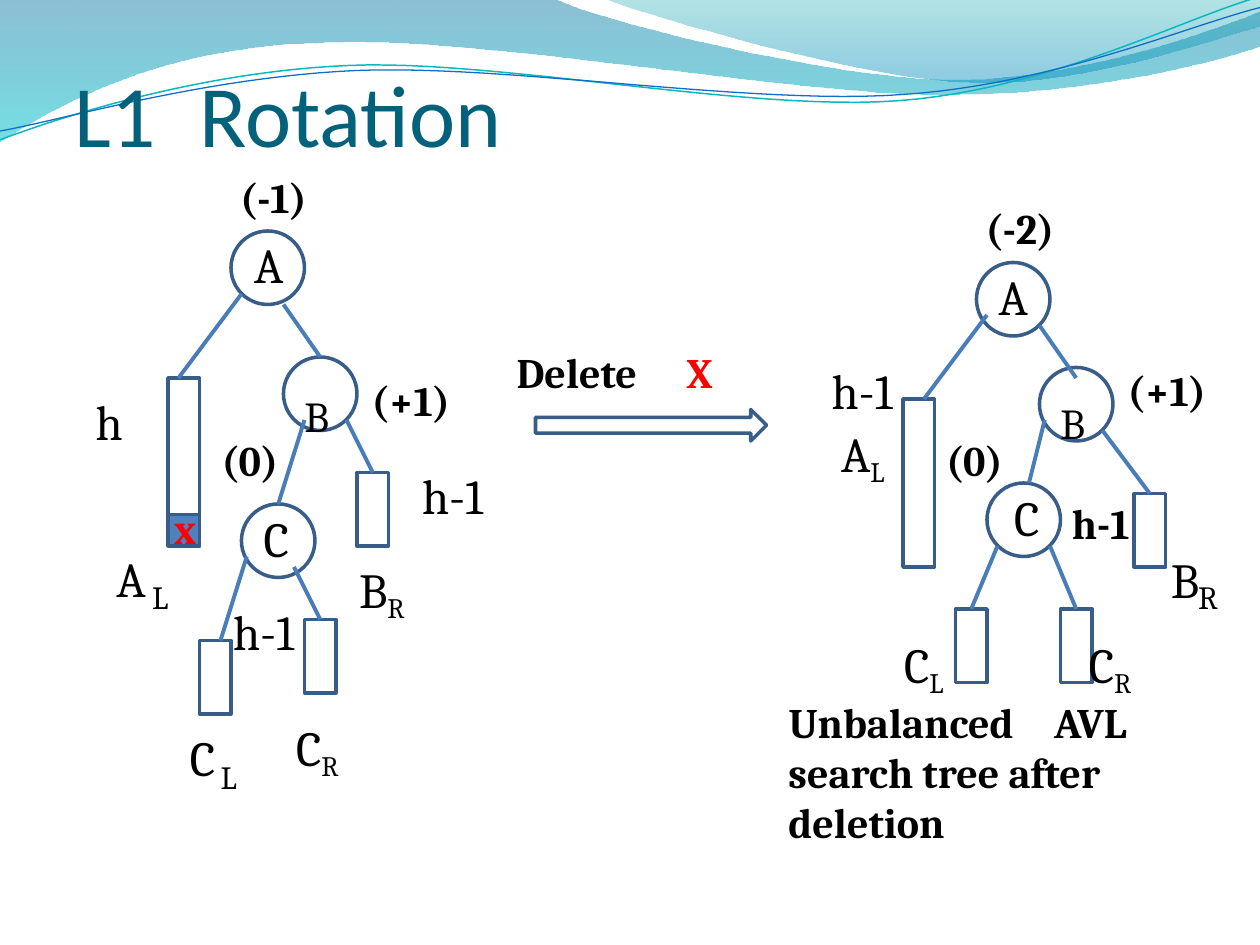
from dataclasses import dataclass

from lxml import etree
from pptx import Presentation
from pptx.dml.color import RGBColor
from pptx.enum.shapes import MSO_CONNECTOR, MSO_SHAPE
from pptx.enum.text import MSO_ANCHOR, MSO_AUTO_SIZE, PP_ALIGN
from pptx.oxml.ns import qn
from pptx.util import Emu, Inches, Pt

PX = 914400 // 120  # 120 px to the inch
TITLE_ONLY = 5
OVAL, BAR, ARROW = MSO_SHAPE.OVAL, MSO_SHAPE.RECTANGLE, MSO_SHAPE.RIGHT_ARROW
LEFT, CENTER, RIGHT = PP_ALIGN.LEFT, PP_ALIGN.CENTER, PP_ALIGN.RIGHT


@dataclass(frozen=True)
class Theme:
    title_font: str = "Calibri"
    body_font: str = "Cambria"
    ink: str = "000000"
    title: str = "04617B"
    red: str = "FF0000"
    outline: str = "385D89"
    edge: str = "497DBA"
    block: str = "4F81BC"
    outline_width: float = 2
    edge_width: float = 2.25


T = Theme()
# style: font, size, bold, colour, baseline shift in percent
STYLES = {
    "title": (T.title_font, 50, False, T.title, 0),
    "plain": (T.body_font, 28, False, T.ink, 0),
    "bold": (T.body_font, 24, True, T.ink, 0),
    "red": (T.body_font, 24, True, T.red, 0),
    "sub": (T.body_font, 27.8, False, T.ink, -21),
    "small": (T.body_font, 18.5, False, T.ink, 0),
    "low": (T.body_font, 42, False, T.ink, -21),
    "lower": (T.body_font, 42, False, T.ink, -45),
}


def para(*runs, **layout):
    """Pair (text, style) runs with their align, before, line, indent, right and tab."""
    return runs, layout


TITLE = [para(("L1\tRotation", "title"), tab=119)]

# Wave: start point, then segments of one point (line) or three points (curve), in inches
BANDS = [
    ((0, 0), [[(4.4, -0.01)],
              [(4.76, 0.17), (6.64, 0.63), (7.58, 0.63)],
              [(8.53, 0.63), (9.58, 0.26), (10, 0.09)],
              [(10.01, 0.36)],
              [(9.83, 0.44), (8.7, 0.76), (7.46, 0.75)],
              [(6.22, 0.75), (3.82, 0.28), (2.57, 0.34)],
              [(1.29, 0.36), (0.46, 0.83), (-0.01, 1.13)]],
     [("0074A1", 45), ("00C6CF", 55)]),
    ((4.79, -0.01), [[(5.09, 0.11), (6.82, 0.62), (7.69, 0.65)],
                     [(8.56, 0.69), (9.61, 0.32), (10, 0.21)],
                     [(10, 0)]],
     [("00A1A9", 30), ("008BBF", 45)]),
]
RIPPLES = [
    ((0, 1.11), [[(0.48, 0.93), (1.58, 0.57), (2.77, 0.52)],
                 [(3.95, 0.47), (5.93, 0.89), (7.13, 0.8)],
                 [(8.33, 0.71), (9.38, 0.15), (9.98, -0.02)]], ("0AB8BF", 0.85)),
    ((0, 1.04), [[(0.47, 0.96), (1.64, 0.61), (2.83, 0.56)],
                 [(4.03, 0.51), (5.97, 0.84), (7.17, 0.75)],
                 [(8.36, 0.67), (9.41, 0.21), (10, 0.06)]], ("0F6FC6", 0.75)),
]

NODE_SIZE, BAR_WIDTH, TALL, SHORT = 70, 30, 160, 70
TREES = [
    {"nodes": [(220, 220), (270, 340), (230, 480)],
     "bars": [(160, 360, TALL), (340, 450, SHORT), (190, 610, SHORT), (290, 590, SHORT)],
     "edges": [(230, 280, 170, 360), (270, 290, 305, 340), (290, 400, 265, 480),
               (330, 400, 355, 450), (235, 530, 210, 610), (280, 540, 305, 590)]},
    {"nodes": [(930, 250), (990, 350), (940, 460)],
     "bars": [(860, 380, TALL), (1080, 470, SHORT), (910, 580, SHORT), (1010, 580, SHORT)],
     "edges": [(940, 300, 880, 380), (990, 310, 1025, 360), (995, 400, 980, 460),
               (1050, 410, 1095, 470), (950, 520, 925, 580), (1000, 520, 1025, 580)]},
]
DELETED_BLOCK = (160, 490, 30, 30)
DELETE_ARROW = (510, 390, 220, 30)

# Label: box, top inset, paragraphs
HEIGHT = [para(("h-1", "plain"))]
ROOT = para(("A", "plain"), align=CENTER, before=7.5, right=13)
LABELS = [
    ((221, 151, 82, 131), 12, [para(("(-1)", "bold"), align=CENTER, right=4), ROOT]),
    ((289, 326, 143, 59), 1, [para(("B\t", "low"), ("(+1)", "bold"), tab=64)]),
    ((210, 394, 71, 149), 20, [para(("(0)", "bold")),
                               para(("C", "plain"), before=13.6, indent=41)]),
    ((90, 372, 30, 59), 1, [para(("h", "plain"))]),
    ((110, 482, 77, 98), 1, [para(("x", "red"), align=RIGHT, line=26.2),
                             para(("A", "plain"), line=31.1)]),
    ((144, 548, 20, 41), 2, [para(("L", "small"))]),
    ((401, 442, 71, 59), 1, HEIGHT),
    ((341, 532, 53, 59), 1, [para(("B", "plain"), ("R", "sub"))]),
    ((221, 572, 71, 59), 1, HEIGHT),
    ((180, 692, 31, 59), 1, [para(("C", "plain"))]),
    ((209, 719, 20, 41), 2, [para(("L", "small"))]),
    ((281, 682, 50, 96), 1, [para(("C", "plain"), ("R", "sub"))]),
    ((491, 329, 192, 52), 1, [para(("Delete\t", "bold"), ("X", "red"), tab=162)]),
    ((930, 181, 82, 131), 12, [para(("(-2)", "bold"), align=CENTER), ROOT]),
    ((1009, 316, 143, 59), 1, [para(("B\t", "lower"), ("(+1)", "bold"), tab=64)]),
    ((900, 413, 90, 110), 1, [para(("(0)", "bold")),
                              para(("C", "plain"), align=RIGHT, before=1.5)]),
    ((791, 342, 71, 59), 1, HEIGHT),
    ((800, 402, 54, 59), 1, [para(("A", "plain"), ("L", "sub"))]),
    ((1020, 473, 122, 109), 1, [para(("h-1", "bold")),
                                para(("B", "plain"), align=RIGHT, before=0.9)]),
    ((1140, 548, 23, 41), 2, [para(("R", "small"))]),
    ((1036, 612, 60, 59), 1, [para(("C", "plain"), ("R", "sub"), line=31.9)]),
    ((750, 612, 400, 101), 1, [
        para(("C", "plain"), ("L", "sub"), line=31.9, indent=111),
        para(("Unbalanced\t", "bold"), ("AVL", "bold"), line=27.1, tab=253)]),
    ((750, 710, 350, 100), 1, [para(("search tree after deletion", "bold"))]),
]


def px(*lengths):
    return [Emu(length * PX) for length in lengths]


def write_text(frame, paragraphs, top=0, anchor=MSO_ANCHOR.TOP):
    frame.word_wrap = True
    frame.auto_size = MSO_AUTO_SIZE.NONE
    frame.vertical_anchor = anchor
    frame.margin_left = frame.margin_right = frame.margin_bottom = 0
    frame.margin_top = Emu(top * PX)
    for index, (runs, layout) in enumerate(paragraphs):
        paragraph = frame.add_paragraph() if index else frame.paragraphs[0]
        properties = paragraph._p.get_or_add_pPr()
        properties.set("marL", str(layout.get("indent", 1) * PX))
        properties.set("marR", str(layout.get("right", 0) * PX))
        if "tab" in layout:
            tabs = etree.SubElement(properties, qn("a:tabLst"))
            etree.SubElement(tabs, qn("a:tab"), pos=str(layout["tab"] * PX), algn="l")
        paragraph.alignment = layout.get("align", LEFT)
        paragraph.space_before = Pt(layout.get("before", 0))
        if "line" in layout:
            paragraph.line_spacing = Pt(layout["line"])
        for text, style in runs:
            face, size, bold, color, baseline = STYLES[style]
            run = paragraph.add_run()
            run.text = text
            run.font.name, run.font.size, run.font.bold = face, Pt(size), bold
            run.font.color.rgb = RGBColor.from_string(color)
            if baseline:
                run.font._element.set("baseline", str(baseline * 1000))


def set_line(shape, color, width):
    shape.line.color.rgb = RGBColor.from_string(color)
    shape.line.width = Pt(width)


def add_outline(slide, kind, box, fill=None):
    shape = slide.shapes.add_shape(kind, *px(*box))
    shape.shadow.inherit = False
    if fill:
        shape.fill.solid()
        shape.fill.fore_color.rgb = RGBColor.from_string(fill)
    else:
        shape.fill.background()
    set_line(shape, T.outline, T.outline_width)


def add_edge(slide, ends):
    edge = slide.shapes.add_connector(MSO_CONNECTOR.STRAIGHT, *px(*ends))
    set_line(edge, T.edge, T.edge_width)
    etree.SubElement(edge._element.spPr, qn("a:effectLst"))


def add_wave(slide, start, segments, close, steps=24):
    """Draw lines and cubic curves as one freeform of short straight pieces."""
    points = [start]
    for segment in segments:
        if len(segment) == 1:
            points += segment
            continue
        corners = [points[-1], *segment]
        for step in range(1, steps + 1):
            t = step / steps
            weights = ((1 - t) ** 3, 3 * t * (1 - t) ** 2, 3 * t * t * (1 - t), t ** 3)
            points.append(tuple(sum(w * c[axis] for w, c in zip(weights, corners))
                                for axis in (0, 1)))
    points = [(Inches(x), Inches(y)) for x, y in points]
    builder = slide.shapes.build_freeform(*points[0])
    builder.add_line_segments(points[1:], close=close)
    wave = builder.convert_to_shape()
    wave.shadow.inherit = False
    return wave


def add_waves(slide):
    for start, segments, stops in BANDS:
        band = add_wave(slide, start, segments, close=True)
        band.line.fill.background()
        band.fill.gradient()
        band.fill.gradient_angle = 270
        for stop, (color, _) in zip(band.fill.gradient_stops, stops):
            stop.color.rgb = RGBColor.from_string(color)
        for node, (_, opacity) in zip(band._element.spPr.iter(qn("a:srgbClr")), stops):
            etree.SubElement(node, qn("a:alpha"), val=str(opacity * 1000))
    for start, segments, line in RIPPLES:
        ripple = add_wave(slide, start, segments, close=False)
        ripple.fill.background()
        set_line(ripple, *line)


def main():
    deck = Presentation()
    deck.slide_width, deck.slide_height = px(1200, 900)
    slide = deck.slides.add_slide(deck.slide_layouts[TITLE_ONLY])
    add_waves(slide)
    title = slide.shapes.title
    title.left, title.top, title.width, title.height = px(70, 54, 734, 103)
    write_text(title.text_frame, TITLE, top=1, anchor=MSO_ANCHOR.BOTTOM)
    title._element.getparent().append(title._element)  # in front of the waves

    add_outline(slide, BAR, DELETED_BLOCK, fill=T.block)
    add_outline(slide, ARROW, DELETE_ARROW)
    for tree in TREES:
        for x, y in tree["nodes"]:
            add_outline(slide, OVAL, (x, y, NODE_SIZE, NODE_SIZE))
        for x, y, height in tree["bars"]:
            add_outline(slide, BAR, (x, y, BAR_WIDTH, height))
        for ends in tree["edges"]:
            add_edge(slide, ends)
    for box, top, paragraphs in LABELS:
        write_text(slide.shapes.add_textbox(*px(*box)).text_frame, paragraphs, top=top)
    deck.save("out.pptx")


if __name__ == "__main__":
    main()
